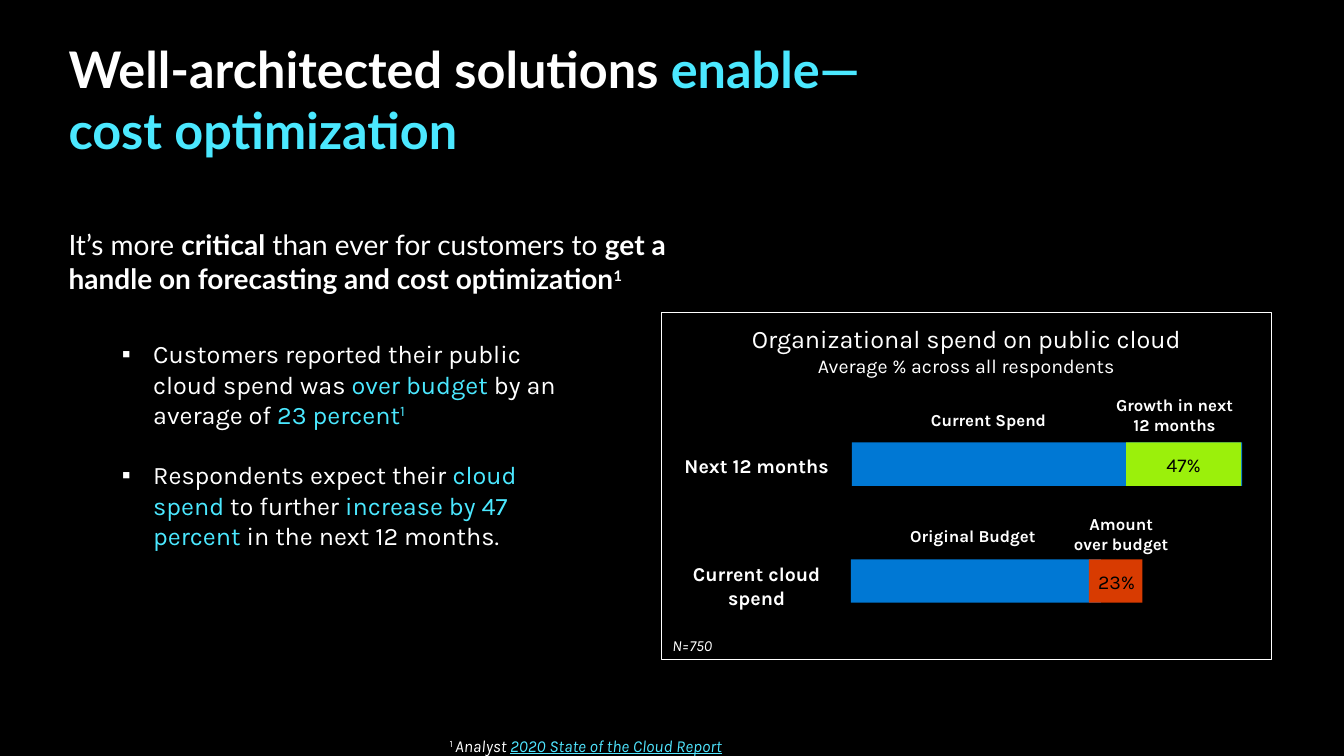
"""Build the cost optimization slide with its cloud spend bar diagram."""
from lxml.etree import SubElement
from pptx import Presentation
from pptx.dml.color import RGBColor
from pptx.enum.shapes import MSO_SHAPE
from pptx.enum.text import MSO_ANCHOR, MSO_AUTO_SIZE, PP_ALIGN
from pptx.oxml.ns import qn
from pptx.util import Inches, Pt

COLORS = {
    "black": "000000", "white": "FFFFFF", "cyan": "4BE8FF", "link": "50E6FF",
    "blue": "0078D4", "green": "9BF00B", "orange": "D83B01",
}
CYAN = {"color": "cyan"}
BOLD = {"bold": True}

TITLE = [
    [("Well-architected solutions ", {}), ("enable—", CYAN)],
    [("cost optimization", CYAN)],
]
LEAD = [[
    ("It’s more ", {}), ("critical", BOLD), (" than ever for customers to ", {}),
    ("get a handle on forecasting and cost optimization", BOLD),
    ("1", {"bold": True, "size": 18, "raised": True}),
]]
FINDINGS = [
    [("Customers reported their public cloud spend was ", {}),
     ("over budget ", CYAN), ("by an average of ", {}), ("23 percent", CYAN),
     ("1", {"color": "cyan", "raised": True})],
    [("Respondents expect their ", {}), ("cloud spend ", CYAN),
     ("to further ", {}), ("increase by 47 percent ", CYAN),
     ("in the next 12 months.", {})],
]
FOOTNOTE = [[
    ("1 ", {"raised": True}), ("Analyst ", {"italic": True}),
    ("2020 State of the Cloud Report",
     {"italic": True, "underline": True, "color": "link"}),
]]
CHART_TITLE = [
    [("Organizational spend on public cloud", {"size": 18})],
    [("Average % across all respondents", {})],
]

PANEL = (6.56, 3.1, 6.05, 3.44)
BAR_HEIGHT = 0.43
BARS = [
    (4.39, [(8.45, 3.87, "blue"), (11.17, 1.14, "green")]),
    (5.55, [(8.44, 2.48, "blue"), (10.8, 0.53, "orange")]),
]
CENTER = PP_ALIGN.CENTER
LABELS = [
    ("Next 12 months", (6.69, 4.45, 2.48, 0.34), 14, BOLD, None),
    ("Current cloud spend", (6.56, 5.53, 1.89, 0.57), 14, BOLD, CENTER),
    ("Current Spend", (8.44, 4.02, 2.73, 0.3), 12, BOLD, CENTER),
    ("Original Budget", (8.5, 5.17, 2.3, 0.3), 12, BOLD, CENTER),
    ("Growth in next 12 months", (10.92, 3.87, 1.46, 0.5), 12, BOLD, CENTER),
    ("Amount over budget", (10.53, 5.05, 1.18, 0.5), 12, BOLD, CENTER),
    ("47%", (11.17, 4.44, 1.14, 0.34), 14, {"color": "black"}, CENTER),
    ("23%", (10.77, 5.6, 0.61, 0.34), 14, {"color": "black"}, CENTER),
    ("N=750", (6.57, 6.26, 0.76, 0.29), 11, {"italic": True}, None),
]


def rgb(name):
    return RGBColor.from_string(COLORS[name])


def add_span(para, text, font_name, size, style):
    span = para.add_run()
    span.text = text
    values = {"name": font_name, "size": Pt(style.get("size", size))}
    for key in ("bold", "italic", "underline"):
        values[key] = style.get(key, False)
    for key, value in values.items():
        setattr(span.font, key, value)
    span.font.color.rgb = rgb(style.get("color", "white"))
    if style.get("raised"):
        span.font._element.set("baseline", "30000")


def add_bullet(para):
    properties = para._p.get_or_add_pPr()
    properties.set("marL", str(Inches(0.31)))
    properties.set("indent", str(-Inches(0.31)))
    SubElement(properties, qn("a:buFont"), typeface="Arial")
    SubElement(properties, qn("a:buChar"), char="▪")


def add_text(page, place, paragraphs, font_name, size,
             align=None, inset=(0, 0), bullets=False, gap=0):
    box = page.shapes.add_textbox(*map(Inches, place))
    across, down = map(Inches, inset)
    settings = {
        "word_wrap": True, "auto_size": MSO_AUTO_SIZE.SHAPE_TO_FIT_TEXT,
        "vertical_anchor": MSO_ANCHOR.TOP,
        "margin_left": across, "margin_right": across,
        "margin_top": down, "margin_bottom": down,
    }
    for key, value in settings.items():
        setattr(box.text_frame, key, value)
    for index, spans in enumerate(paragraphs):
        para = box.text_frame.paragraphs[0] if index == 0 else box.text_frame.add_paragraph()
        para.alignment = align
        if index and gap:
            para.space_before = Pt(gap)
        if bullets:
            add_bullet(para)
        for text, style in spans:
            add_span(para, text, font_name, size, style)


def add_rectangle(page, place, fill=None, line=None):
    box = page.shapes.add_shape(MSO_SHAPE.RECTANGLE, *map(Inches, place))
    box.shadow.inherit = False
    if fill:
        box.fill.solid()
        box.fill.fore_color.rgb = rgb(fill)
    else:
        box.fill.background()
    if line:
        box.line.color.rgb = rgb(line)
        box.line.width = Pt(0.75)
    else:
        box.line.fill.background()


def main():
    deck = Presentation()
    deck.slide_width, deck.slide_height = Inches(13.33), Inches(7.5)
    page = deck.slides.add_slide(deck.slide_layouts[6])
    page.background.fill.solid()
    page.background.fill.fore_color.rgb = rgb("black")

    add_text(page, (0.68, 0.38, 10.23, 1.21),
             [[(text, style | BOLD) for text, style in spans] for spans in TITLE],
             "Lato", 36)
    add_text(page, (0.68, 2.26, 6.32, 0.67), LEAD, "Lato", 20)
    add_text(page, (4.46, 7.3, 3.78, 0.2), FOOTNOTE, "Karla", 12)
    add_text(page, (1.21, 3.36, 4.37, 2.12), FINDINGS, "Karla", 18,
             bullets=True, gap=21.6)

    add_rectangle(page, PANEL, line="white")
    add_text(page, (6.56, 3.21, 6.05, 0.54), CHART_TITLE, "Karla", 14, CENTER)
    for top, segments in BARS:
        for left, width, fill in segments:
            add_rectangle(page, (left, top, width, BAR_HEIGHT), fill)
    for text, place, size, style, align in LABELS:
        add_text(page, place, [[(text, style)]], "Karla", size, align, (0.1, 0.05))

    deck.save("out.pptx")


if __name__ == "__main__":
    main()
